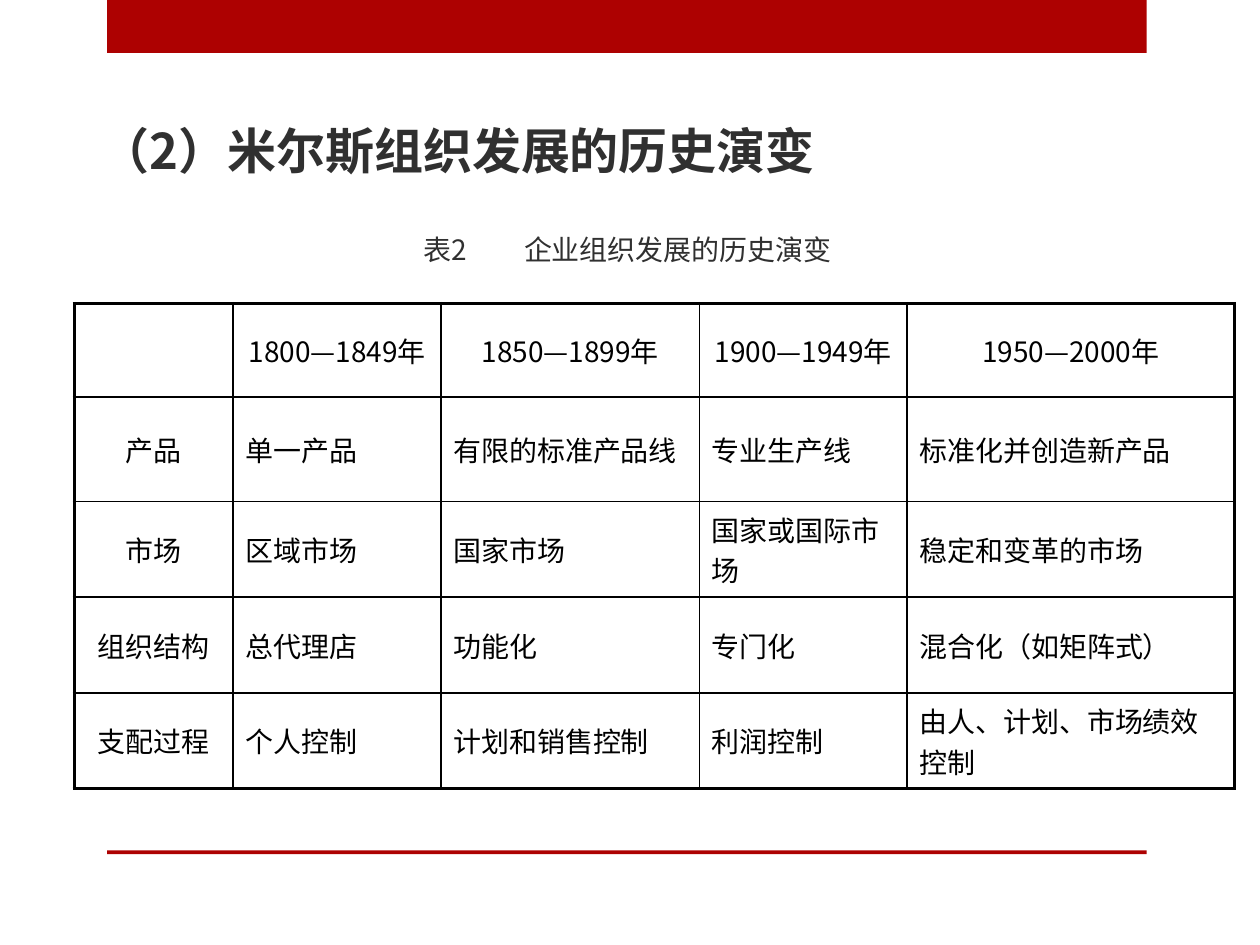
from lxml.etree import SubElement
from pptx import Presentation
from pptx.dml.color import RGBColor
from pptx.enum.shapes import MSO_SHAPE
from pptx.enum.text import MSO_ANCHOR, PP_ALIGN
from pptx.oxml.ns import qn
from pptx.util import Inches, Pt

COLORS = {"accent": "AD0101", "heading": "303030", "table": "000000"}
FONT = "Noto Sans CJK SC"
COLUMN_WIDTHS = [1.26, 1.65, 2.05, 1.65, 2.6]
ROW_HEIGHTS = [0.74, 0.83, 0.76, 0.76, 0.76]
ROWS = [
    ["", "1800—1849年", "1850—1899年", "1900—1949年", "1950—2000年"],
    ["产品", "单一产品", "有限的标准产品线", "专业生产线", "标准化并创造新产品"],
    ["市场", "区域市场", "国家市场", "国家或国际市场", "稳定和变革的市场"],
    ["组织结构", "总代理店", "功能化", "专门化", "混合化（如矩阵式）"],
    ["支配过程", "个人控制", "计划和销售控制", "利润控制", "由人、计划、市场绩效控制"],
]


def add_run(p, text, color, size=16, bold=False):
    r = p.add_run()
    r.text = text
    values = {"name": FONT, "size": Pt(size), "bold": bold}
    for name, value in values.items():
        setattr(r.font, name, value)
    r.font.color.rgb = RGBColor.from_string(COLORS[color])
    SubElement(r.font._element, qn("a:ea"), typeface=FONT)


def add_bar(s, left, top, width, height):
    bar = s.shapes.add_shape(MSO_SHAPE.RECTANGLE, Inches(left), Inches(top),
                             Inches(width), Inches(height))
    bar.shadow.inherit = False
    bar.fill.solid()
    bar.fill.fore_color.rgb = RGBColor.from_string(COLORS["accent"])
    bar.line.fill.background()


def add_heading(s, left, top, width, height, text, size=16, bold=False, tab=None):
    """Add one line of text; tab is the position of its tab stop in inches."""
    sp = s.shapes.add_textbox(Inches(left), Inches(top), Inches(width), Inches(height))
    tf = sp.text_frame
    values = {"word_wrap": True, "vertical_anchor": MSO_ANCHOR.MIDDLE,
              "margin_left": 0, "margin_right": 0, "margin_top": 0, "margin_bottom": 0}
    for name, value in values.items():
        setattr(tf, name, value)
    p = tf.paragraphs[0]
    if tab:
        tabs = SubElement(p._p.get_or_add_pPr(), qn("a:tabLst"))
        SubElement(tabs, qn("a:tab"), pos=str(Inches(tab)), algn="l")
    add_run(p, text, "heading", size, bold)


def set_borders(cell, widths):
    tcPr = cell._tc.get_or_add_tcPr()
    for side, width in widths.items():
        line = SubElement(tcPr, qn(f"a:ln{side}"), w=str(Pt(width)))
        fill = SubElement(line, qn("a:solidFill"))
        SubElement(fill, qn("a:srgbClr"), val=COLORS["table"])


def add_history_table(s, left, top):
    frame = s.shapes.add_table(len(ROWS), len(COLUMN_WIDTHS), Inches(left), Inches(top),
                               Inches(sum(COLUMN_WIDTHS)), Inches(sum(ROW_HEIGHTS)))
    table = frame.table
    table.first_row = table.horz_banding = False
    for column, width in zip(table.columns, COLUMN_WIDTHS):
        column.width = Inches(width)
    for row, height in zip(table.rows, ROW_HEIGHTS):
        row.height = Inches(height)

    last_row, last_column = len(ROWS) - 1, len(COLUMN_WIDTHS) - 1
    for i, texts in enumerate(ROWS):
        for j, text in enumerate(texts):
            cell = table.cell(i, j)
            outer = {"L": j == 0, "R": j == last_column, "T": i == 0, "B": i == last_row}
            set_borders(cell, {side: 2.25 if edge else 1 for side, edge in outer.items()})
            cell.fill.background()
            cell.vertical_anchor = MSO_ANCHOR.MIDDLE
            p = cell.text_frame.paragraphs[0]
            p.alignment = PP_ALIGN.CENTER if i == 0 or j == 0 else PP_ALIGN.LEFT
            if text:
                add_run(p, text, "table")


def main():
    prs = Presentation()
    prs.slide_width, prs.slide_height = Inches(10), Inches(7.5)
    s = prs.slides.add_slide(prs.slide_layouts[6])
    add_bar(s, 0.85, 0, 8.25, 0.42)
    add_bar(s, 0.85, 6.75, 8.25, 0.03)
    add_heading(s, 0.8, 0.84, 8.7, 0.7, "（2）米尔斯组织发展的历史演变", size=28, bold=True)
    add_heading(s, 3.36, 1.78, 4, 0.4, "表2\t企业组织发展的历史演变", tab=0.8)
    add_history_table(s, 0.59, 2.41)
    prs.save("out.pptx")


if __name__ == "__main__":
    main()
